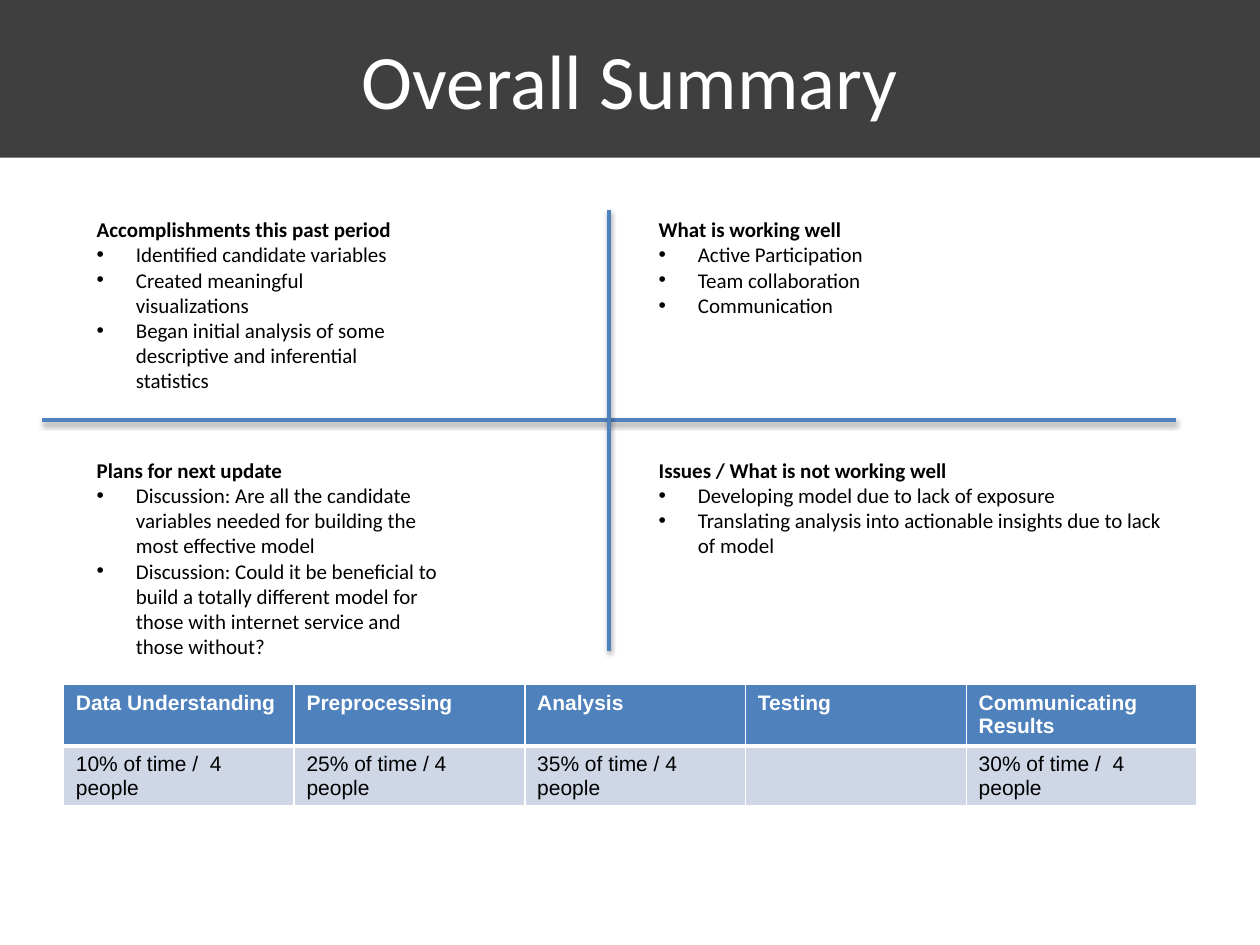
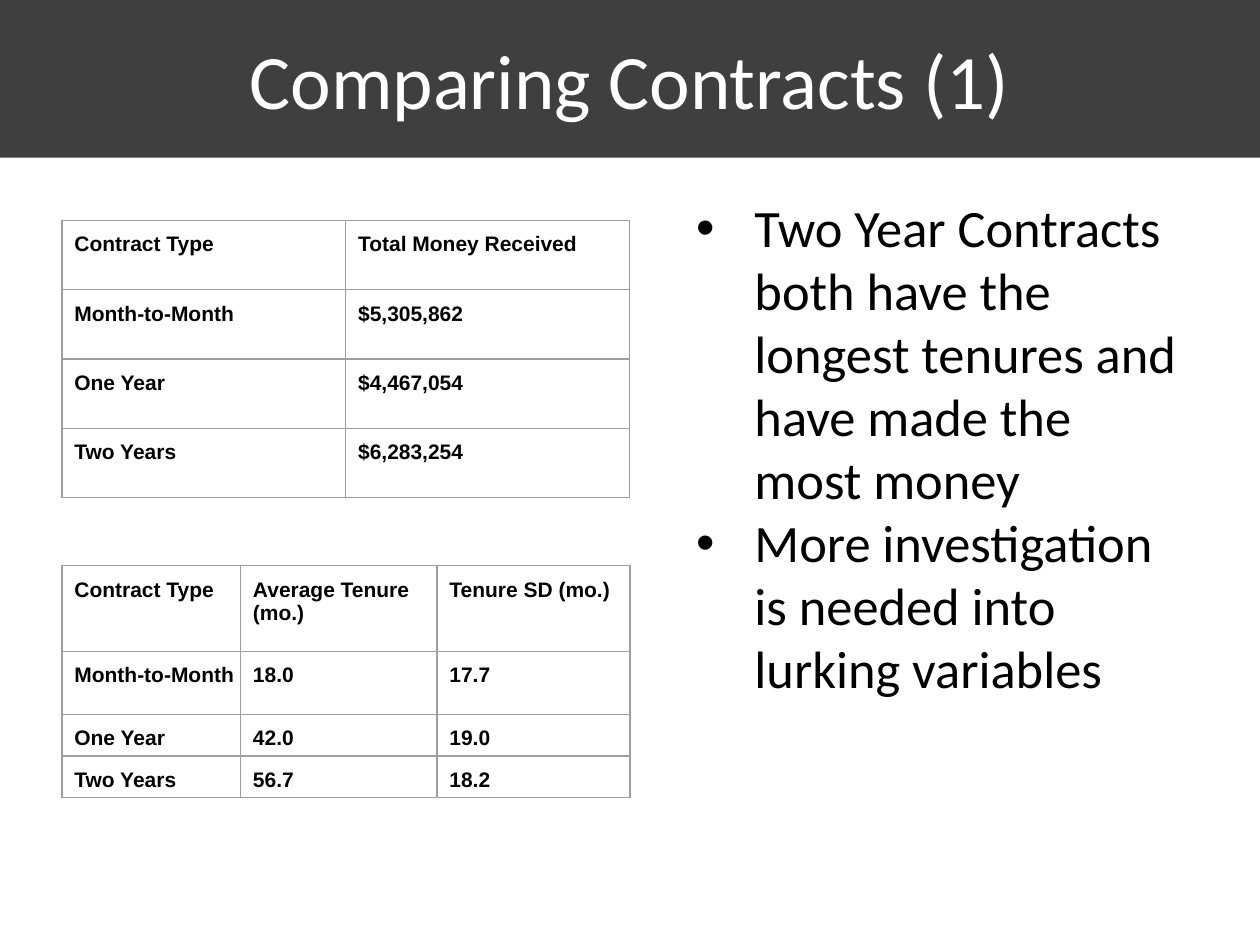
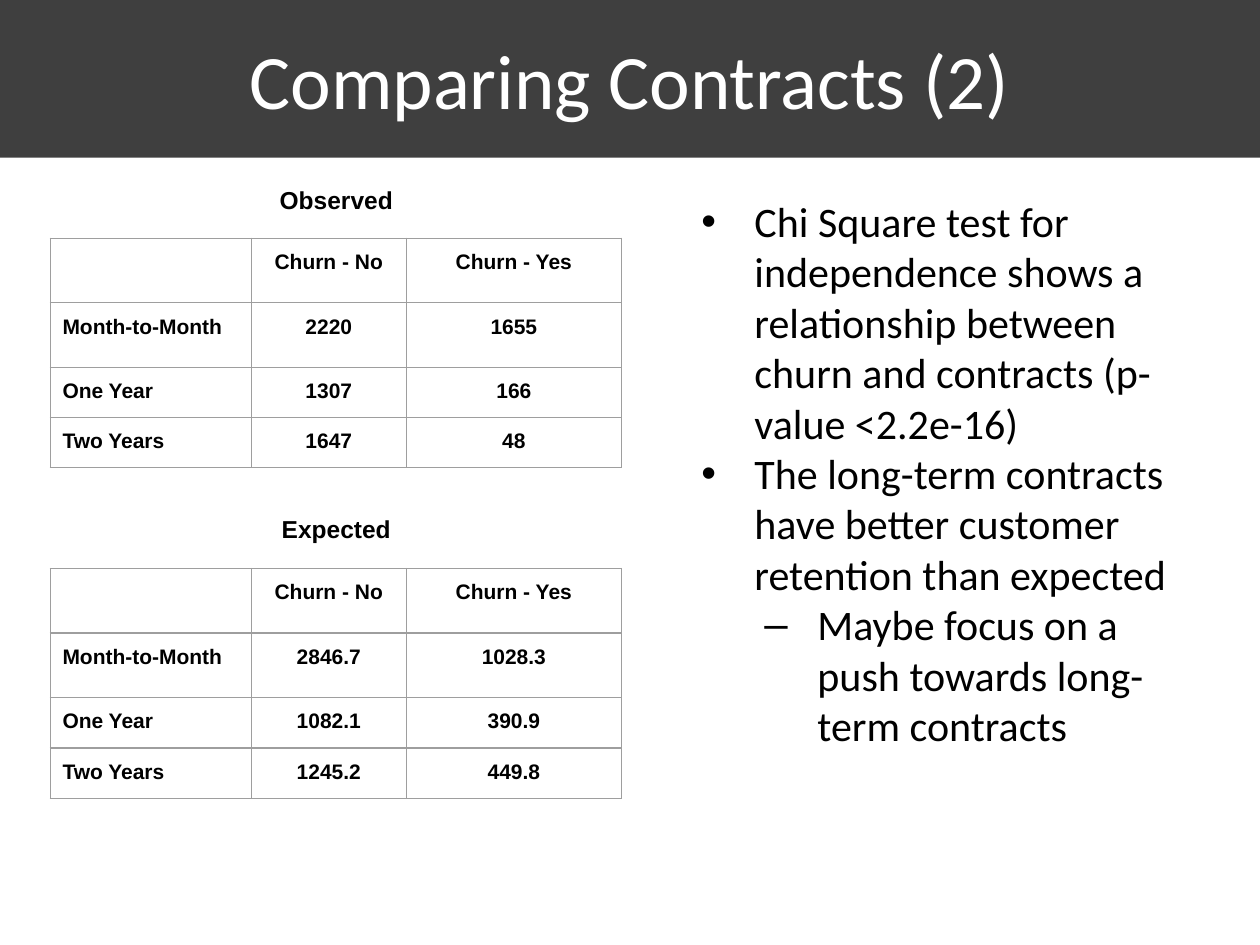
from dataclasses import dataclass

from lxml import etree
from pptx import Presentation
from pptx.dml.color import RGBColor
from pptx.enum.shapes import MSO_CONNECTOR, MSO_SHAPE
from pptx.enum.text import MSO_ANCHOR, PP_ALIGN
from pptx.oxml.ns import qn
from pptx.util import Cm, Pt

RECT = MSO_SHAPE.RECTANGLE
STRAIGHT = MSO_CONNECTOR.STRAIGHT
LEFT, CENTER = PP_ALIGN.LEFT, PP_ALIGN.CENTER
TOP, MIDDLE = MSO_ANCHOR.TOP, MSO_ANCHOR.MIDDLE


@dataclass(frozen=True)
class Theme:
    """Colours, fonts and type sizes shared by all slides."""
    band: str = "3F3F3F"
    accent: str = "4F81BD"
    pale: str = "CFD7E7"
    grid: str = "9E9E9E"
    ink: str = "000000"
    white: str = "FFFFFF"
    text_font: str = "Calibri"
    table_font: str = "Arial"
    title_size: float = 44
    large_size: float = 30
    body_size: float = 24
    caption_size: float = 14
    small_size: float = 12


T = Theme()
SLIDE_W, SLIDE_H, BAND_H = 25.4, 19.05, 3.18
PAD, THIN_PAD = 0.25, 0.13
TEXT_PADS = (PAD, THIN_PAD, PAD, THIN_PAD)
EVEN_PADS = (PAD,) * 4
TIGHT_PADS = (PAD, PAD, 0, 0)
CONTRACTS = ("Month-to-Month", "One Year", "Two Years")


def rgb(code):
    """Turn a hex code into a colour."""
    return RGBColor.from_string(code)


def sub(parent, tag, **attrs):
    """Append a DrawingML element with the given attributes."""
    return etree.SubElement(parent, qn(tag), {k: str(v) for k, v in attrs.items()})


def set_pads(box, pads):
    """Set the left, top, right and bottom margins of a text frame or cell."""
    box.margin_left, box.margin_top, box.margin_right, box.margin_bottom = map(Cm, pads)


def add_bullet(p, mark, indent, hang):
    """Give a paragraph a hanging bullet."""
    pPr = p._p.get_or_add_pPr()
    pPr.set("marL", str(Cm(indent)))
    pPr.set("indent", str(-Cm(hang)))
    sub(sub(pPr, "a:buClr"), "a:srgbClr", val=T.ink)
    sub(pPr, "a:buFont", typeface="Arial")
    sub(pPr, "a:buChar", char=mark)


def write(tf, text, size=T.small_size, font=T.text_font, color=T.ink, bold=False,
          align=LEFT, before=0, bullet=None, indent=0.79, hang=0.79, level=0):
    """Write one formatted paragraph at the end of a text frame."""
    p = tf.add_paragraph() if tf.text else tf.paragraphs[0]
    p.alignment, p.level, p.space_before = align, level, Pt(before)
    if bullet:
        add_bullet(p, bullet, indent, hang)
    r = p.add_run()
    r.text = text
    r.font.size, r.font.name, r.font.bold = Pt(size), font, bold
    r.font.color.rgb = rgb(color)


def add_box(s, x, y, w, h, pads=TEXT_PADS):
    """Add a wrapping text box and return its text frame."""
    tf = s.shapes.add_textbox(Cm(x), Cm(y), Cm(w), Cm(h)).text_frame
    tf.word_wrap, tf.vertical_anchor = True, TOP
    set_pads(tf, pads)
    return tf


def add_titled_slide(prs, title):
    """Add a blank slide with the dark title band."""
    s = prs.slides.add_slide(prs.slide_layouts[6])
    sp = s.shapes.add_shape(RECT, 0, 0, Cm(SLIDE_W), Cm(BAND_H))
    sp.shadow.inherit = False
    sp.fill.solid()
    sp.fill.fore_color.rgb = rgb(T.band)
    sp.line.fill.background()
    tf = sp.text_frame
    tf.word_wrap, tf.vertical_anchor = True, MIDDLE
    set_pads(tf, TEXT_PADS)
    write(tf, title, size=T.title_size, color=T.white, align=CENTER)
    return s


def add_axis(s, x1, y1, x2, y2):
    """Draw a quadrant divider with a soft shadow."""
    line = s.shapes.add_connector(STRAIGHT, Cm(x1), Cm(y1), Cm(x2), Cm(y2))
    line.line.color.rgb = rgb(T.accent)
    line.line.width = Pt(2)
    effects = sub(line._element.spPr, "a:effectLst")
    shadow = sub(effects, "a:outerShdw", blurRad=Pt(3.1), dist=Pt(1.6),
                 dir=90 * 60000, rotWithShape=0)
    sub(sub(shadow, "a:srgbClr", val=T.ink), "a:alpha", val=38000)


def add_quadrant(s, x, y, w, h, heading, items):
    """Add a bold heading with a bulleted list."""
    tf = add_box(s, x, y, w, h)
    write(tf, heading, bold=True)
    for item in items:
        write(tf, item, bullet="•")


def add_findings(s, items, size, hang):
    """Add the right-hand bullets, given as text and level pairs."""
    tf = add_box(s, 13.69, 3.81, 10.44, 12.57)
    for i, (text, level) in enumerate(items):
        write(tf, text, size=size, level=level, bullet="•–"[level],
              indent=1.27 * (level + 1), hang=hang, before=0 if i else 6.4)


def set_borders(cell, color, left=0.75, right=0.75, top=0.75, bottom=0.75):
    """Draw the four borders of a cell, with widths in points."""
    tcPr = cell._tc.get_or_add_tcPr()
    for i, (side, width) in enumerate(zip("LRTB", (left, right, top, bottom))):
        ln = sub(tcPr, f"a:ln{side}", w=Pt(width))
        sub(sub(ln, "a:solidFill"), "a:srgbClr", val=color)
        tcPr.insert(i, ln)


def add_grid(s, x, y, widths, heights, rows, style):
    """Add a table and let style(cell, row, column, text) finish each cell."""
    frame = s.shapes.add_table(len(rows), len(widths), Cm(x), Cm(y),
                               Cm(sum(widths)), Cm(sum(heights)))
    table = frame.table
    table.first_row = table.horz_banding = False
    for column, w in zip(table.columns, widths):
        column.width = Cm(w)
    for row, h in zip(table.rows, heights):
        row.height = Cm(h)
    for i, values in enumerate(rows):
        for j, text in enumerate(values):
            style(table.cell(i, j), i, j, text)


def style_phase(cell, i, j, text):
    """Format a cell of the project phase table."""
    header = i == 0
    set_pads(cell, TEXT_PADS)
    cell.fill.solid()
    cell.fill.fore_color.rgb = rgb(T.accent if header else T.pale)
    set_borders(cell, T.white, 1, 1, 1 if header else 3, 3 if header else 1)
    if text:
        write(cell.text_frame, text, font=T.table_font, bold=header,
              color=T.white if header else T.ink)


def outlined(pads=EVEN_PADS, centered=False):
    """Return a cell style with grey borders and bold text."""
    def style(cell, i, j, text):
        """Format a cell of a contract table."""
        set_pads(cell, pads)
        cell.fill.background()
        set_borders(cell, T.grid)
        if text:
            write(cell.text_frame, text, font=T.table_font, bold=True,
                  align=CENTER if centered and j else LEFT)
    return style


def contract_rows(header, values):
    """Join the header with one row for each contract type."""
    return [header, *((name, *row) for name, row in zip(CONTRACTS, values))]


def add_churn_table(s, caption, caption_y, y, heights, values):
    """Add a captioned table of churn by contract type."""
    tf = add_box(s, 4.06, caption_y, 5.44, 0.99, pads=EVEN_PADS)
    write(tf, caption, size=T.caption_size, font=T.table_font, bold=True, align=CENTER)
    rows = contract_rows(("", "Churn - No", "Churn - Yes"), values)
    add_grid(s, 1.01, y, (4.06, 3.12, 4.34), heights, rows, outlined(centered=True))


def build_summary(prs):
    """Build the four-quadrant summary with the phase table."""
    s = add_titled_slide(prs, "Overall Summary")
    phases = [
        ("Data Understanding", "Preprocessing", "Analysis", "Testing",
         "Communicating Results"),
        ("10% of time /  4 people", "25% of time / 4 people",
         "35% of time / 4 people", "", "30% of time /  4 people"),
    ]
    add_grid(s, 1.28, 13.8, (4.65, 4.65, 4.45, 4.45, 4.65), (1.24, 1.04),
             phases, style_phase)
    left, right, upper, lower = 1.7, 13.03, 4.24, 9.09
    add_quadrant(s, right, upper, 4.67, 2.31, "What is working well",
                 ["Active Participation", "Team collaboration", "Communication"])
    add_quadrant(s, left, upper, 6.53, 2.82, "Accomplishments this past period",
                 ["Identified candidate variables",
                  "Created meaningful visualizations",
                  "Began initial analysis of some descriptive and inferential statistics"])
    add_quadrant(s, left, lower, 7.52, 4.01, "Plans for next update",
                 ["Discussion: Are all the candidate variables needed for building "
                  "the most effective model",
                  "Discussion: Could it be beneficial to build a totally different "
                  "model for those with internet service and those without?"])
    add_quadrant(s, right, lower, 10.67, 2.82, "Issues / What is not working well",
                 ["Developing model due to lack of exposure",
                  "Translating analysis into actionable insights due to lack of model"])
    add_axis(s, 0.85, 8.47, 23.71, 8.47)
    add_axis(s, 12.28, 4.23, 12.28, 13.12)


def build_revenue(prs):
    """Build the comparison of money received and tenure."""
    s = add_titled_slide(prs, "Comparing Contracts (1)")
    money = contract_rows(("Contract Type", "Total Money Received"),
                          [("$5,305,862",), ("$4,467,054",), ("$6,283,254",)])
    add_grid(s, 1.25, 4.44, (5.72,) * 2, (1.4,) * 4, money, outlined())
    tenure = contract_rows(("Contract Type", "Average Tenure (mo.)", "Tenure SD (mo.)"),
                           [("18.0", "17.7"), ("42.0", "19.0"), ("56.7", "18.2")])
    add_grid(s, 1.25, 11.4, (3.6, 3.96, 3.89), (1.73, 1.27, 0.84, 0.84),
             tenure, outlined(TIGHT_PADS))
    add_findings(s, [
        ("Two Year Contracts both have the longest tenures and have made the most money", 0),
        ("More investigation is needed into lurking variables", 0),
    ], T.large_size, 1.17)


def build_churn(prs):
    """Build the comparison of observed and expected churn."""
    s = add_titled_slide(prs, "Comparing Contracts (2)")
    add_findings(s, [
        ("Chi Square test for independence shows a relationship between churn "
         "and contracts (p-value <2.2e-16)", 0),
        ("The long-term contracts have better customer retention than expected", 0),
        ("Maybe focus on a push towards long-term contracts", 1),
    ], T.body_size, 1.07)
    add_churn_table(s, "Observed", 3.48, 4.8, (1.3, 1.3, 0.97, 0.97),
                    [("2220", "1655"), ("1307", "166"), ("1647", "48")])
    add_churn_table(s, "Expected", 10.11, 11.46, (1.3, 1.3, 1.02, 1.02),
                    [("2846.7", "1028.3"), ("1082.1", "390.9"), ("1245.2", "449.8")])


def main():
    """Build the three slides and save them."""
    prs = Presentation()
    prs.slide_width, prs.slide_height = Cm(SLIDE_W), Cm(SLIDE_H)
    build_summary(prs)
    build_revenue(prs)
    build_churn(prs)
    prs.save("out.pptx")


if __name__ == "__main__":
    main()
